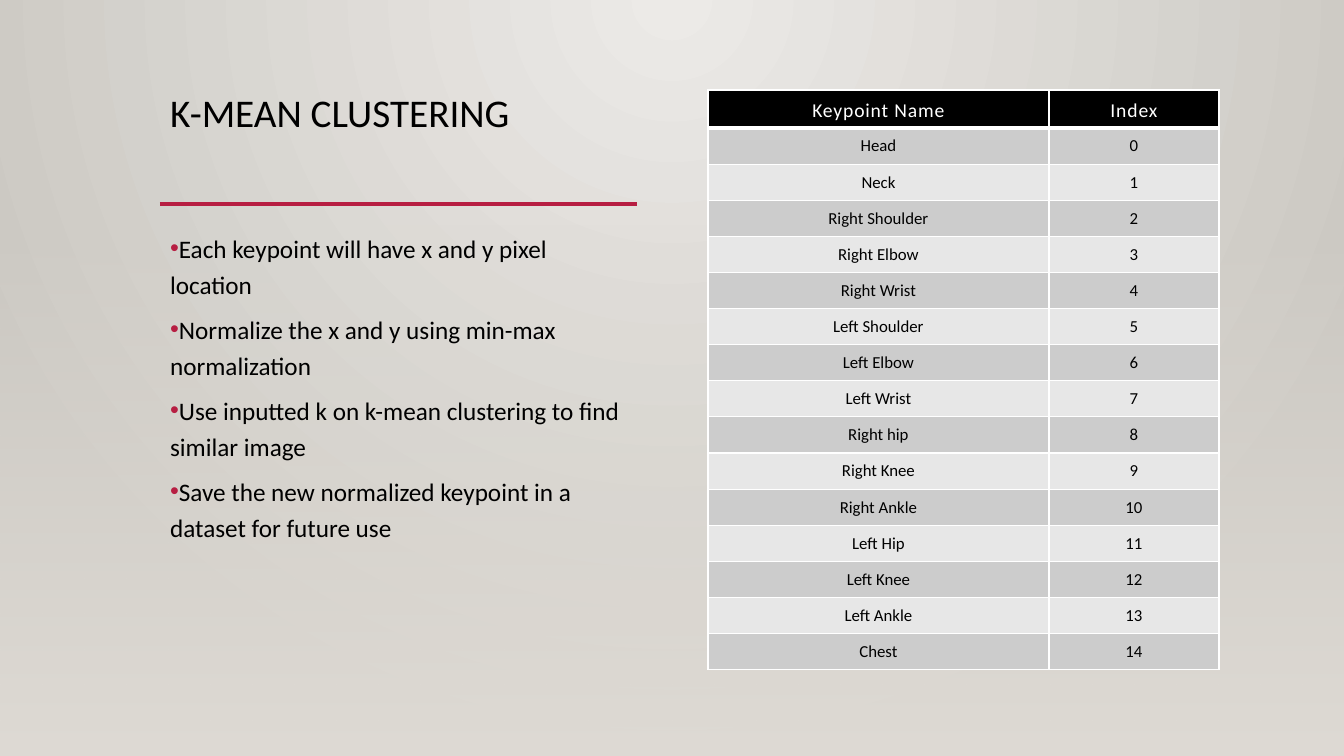
from dataclasses import dataclass

from lxml import etree
from pptx import Presentation
from pptx.dml.color import RGBColor
from pptx.enum.shapes import MSO_CONNECTOR, MSO_SHAPE
from pptx.enum.text import MSO_ANCHOR, MSO_AUTO_SIZE, PP_ALIGN
from pptx.oxml import parse_xml
from pptx.oxml.ns import nsdecls, qn
from pptx.util import Pt

LEFT, CENTER = PP_ALIGN.LEFT, PP_ALIGN.CENTER
TOP, MIDDLE = MSO_ANCHOR.TOP, MSO_ANCHOR.MIDDLE
RECTANGLE = MSO_SHAPE.RECTANGLE
STRAIGHT = MSO_CONNECTOR.STRAIGHT
NO_AUTOFIT = MSO_AUTO_SIZE.NONE

EMU_PER_PX = 914400 / 100.8
WIDTH, HEIGHT = 1344, 756

STEPS = [
    "Each keypoint will have x and y pixel location",
    "Normalize the x and y using min-max normalization",
    "Use inputted k on k-mean clustering to find similar image",
    "Save the new normalized keypoint in a dataset for future use",
]
HEADINGS = ("Keypoint Name", "Index")
KEYPOINTS = [
    "Head", "Neck", "Right Shoulder", "Right Elbow", "Right Wrist",
    "Left Shoulder", "Left Elbow", "Left Wrist", "Right hip", "Right Knee",
    "Right Ankle", "Left Hip", "Left Knee", "Left Ankle", "Chest",
]


@dataclass(frozen=True)
class Theme:
    font: str = "Calibri"
    ink: str = "000000"
    paper: str = "FFFFFF"
    accent: str = "B71E42"
    glow: str = "ECEAE7"
    shade: str = "CAC7C1"
    floor: str = "DFDBD5"
    bands: tuple = ("CCCCCC", "E7E7E7")
    title_size: int = 28
    body_size: int = 18
    heading_size: int = 14
    cell_size: int = 12


def px(length):
    return round(length * EMU_PER_PX)


def rgb(color):
    return RGBColor.from_string(color)


def write(paragraph, text, *, font, size, color, align=LEFT, line=1.0, after=0, tracking=0):
    paragraph.alignment = align
    paragraph.line_spacing = line
    paragraph.space_before = Pt(0)
    paragraph.space_after = Pt(after)
    run = paragraph.add_run()
    run.text = text
    run.font.name = font
    run.font.size = Pt(size)
    run.font.bold = False
    run.font.color.rgb = rgb(color)
    if tracking:
        run.font._element.set("spc", str(tracking))


def gradient(start, end, direction, start_alpha=100):
    return parse_xml(
        f'<a:gradFill {nsdecls("a")} rotWithShape="1"><a:gsLst>'
        f'<a:gs pos="0"><a:srgbClr val="{start}"><a:alpha val="{start_alpha * 1000}"/></a:srgbClr></a:gs>'
        f'<a:gs pos="100000"><a:srgbClr val="{end}"/></a:gs>'
        f'</a:gsLst>{direction}</a:gradFill>'
    )


def pour(filled, properties, paint):
    filled.fill.background()
    properties.replace(properties.find(qn("a:noFill")), paint)


class KeypointSlide:
    def __init__(self, presentation, theme):
        self.theme = theme
        self.slide = presentation.slides.add_slide(presentation.slide_layouts[1])
        self.shapes = self.slide.shapes
        self.back_layers = 0

    def spotlight(self):
        direction = (
            '<a:path path="circle">'
            '<a:fillToRect l="43000" t="0" r="43000" b="100000"/></a:path>'
        )
        return gradient(self.theme.glow, self.theme.shade, direction)

    def background(self):
        backdrop = self.slide.background
        backdrop.fill.background()
        pour(backdrop, self.slide.element.find(".//" + qn("p:bgPr")), self.spotlight())

    def panel(self, top, height, paint):
        panel = self.shapes.add_shape(RECTANGLE, 0, px(top), px(WIDTH), px(height))
        panel.shadow.inherit = False
        pour(panel, panel.element.spPr, paint)
        panel.line.fill.background()
        self.shapes.element.insert(2 + self.back_layers, panel.element)
        self.back_layers += 1

    def floor(self, top):
        color = self.theme.floor
        fade = gradient(color, color, '<a:lin ang="5400000" scaled="0"/>', start_alpha=0)
        self.panel(top, HEIGHT - top, fade)

    def place(self, holder, left, top, width, height):
        holder.left, holder.top = px(left), px(top)
        holder.width, holder.height = px(width), px(height)
        frame = holder.text_frame
        frame.word_wrap = True
        frame.auto_size = NO_AUTOFIT
        frame.vertical_anchor = TOP
        return frame

    def title(self, text, *box):
        frame = self.place(self.shapes.title, *box)
        write(frame.paragraphs[0], text, font=self.theme.font,
              size=self.theme.title_size, color=self.theme.ink, line=0.9)

    def bullets(self, items, *box):
        frame = self.place(self.slide.placeholders[1], *box)
        for number, item in enumerate(items):
            paragraph = frame.add_paragraph() if number else frame.paragraphs[0]
            write(paragraph, item, font=self.theme.font, size=self.theme.body_size,
                  color=self.theme.ink, line=1.2, after=6)
            properties = paragraph._p.get_or_add_pPr()
            properties.set("marL", "0")
            properties.set("indent", "-228600")
            marker_color = etree.SubElement(properties, qn("a:buClr"))
            etree.SubElement(marker_color, qn("a:srgbClr"), val=self.theme.accent)
            etree.SubElement(properties, qn("a:buFont"), typeface="Arial")
            etree.SubElement(properties, qn("a:buChar"), char="•")

    def rule(self, left, right, y):
        rule = self.shapes.add_connector(STRAIGHT, px(left), px(y), px(right), px(y))
        rule.line.color.rgb = rgb(self.theme.accent)
        rule.line.width = Pt(2.5)
        etree.SubElement(rule.element.spPr, qn("a:effectLst"))

    def cell(self, cell, text, fill, bottom_border, anchor, **style):
        cell.margin_left = cell.margin_right = cell.margin_top = px(8)
        cell.margin_bottom = px(4)
        cell.vertical_anchor = anchor
        properties = cell._tc.get_or_add_tcPr()
        for side, points in (("L", 1), ("R", 1), ("T", 1), ("B", bottom_border)):
            border = etree.SubElement(properties, qn(f"a:ln{side}"), w=str(Pt(points)))
            paint = etree.SubElement(border, qn("a:solidFill"))
            etree.SubElement(paint, qn("a:srgbClr"), val=self.theme.paper)
        cell.fill.solid()
        cell.fill.fore_color.rgb = rgb(fill)
        write(cell.text_frame.paragraphs[0], text, font=self.theme.font, align=CENTER, **style)

    def table(self, headings, records, left, top, column_widths, header_height, body_height):
        theme = self.theme
        count = len(records)
        grid = self.shapes.add_table(
            count + 1, len(headings), px(left), px(top),
            px(sum(column_widths)), px(header_height + body_height),
        ).table
        for column, width in zip(grid.columns, column_widths):
            column.width = px(width)
        grid.rows[0].height = px(header_height)
        for column, heading in enumerate(headings):
            self.cell(grid.cell(0, column), heading, theme.ink, 3, MIDDLE,
                      size=theme.heading_size, color=theme.paper, tracking=60)
        for number, record in enumerate(records):
            grid.rows[number + 1].height = px(body_height / count)
            for column, value in enumerate(record):
                self.cell(grid.cell(number + 1, column), value, theme.bands[number % 2], 1, TOP,
                          size=theme.cell_size, color=theme.ink)


def main():
    presentation = Presentation()
    presentation.slide_width, presentation.slide_height = px(WIDTH), px(HEIGHT)
    page = KeypointSlide(presentation, Theme())
    page.background()
    page.panel(0, HEIGHT, page.spotlight())
    page.floor(223)
    page.title("K-MEAN CLUSTERING", 160, 89, 477, 116)
    page.rule(160, 637, 204)
    page.bullets(STEPS, 160, 222, 477, 450)
    records = [(name, str(index)) for index, name in enumerate(KEYPOINTS)]
    page.table(HEADINGS, records, 708, 90, (341, 170), 38, 542)
    presentation.save("out.pptx")


if __name__ == "__main__":
    main()
